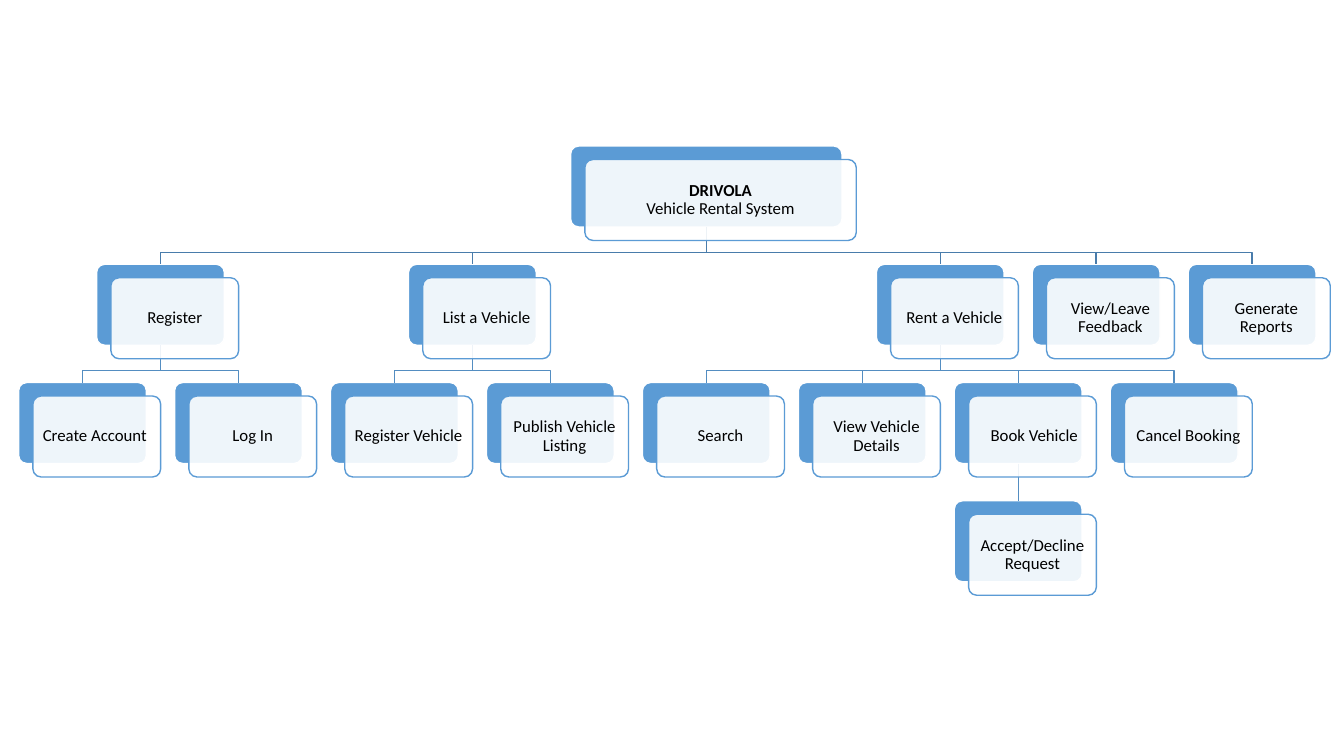
"""Build the function hierarchy slide of a vehicle rental system."""
from dataclasses import dataclass
from typing import Any

from lxml.etree import SubElement
from pptx import Presentation
from pptx.dml.color import RGBColor
from pptx.enum.shapes import MSO_CONNECTOR, MSO_SHAPE
from pptx.enum.text import MSO_ANCHOR, PP_ALIGN
from pptx.oxml.ns import qn
from pptx.util import Cm, Length, Pt

ROUNDED = MSO_SHAPE.ROUNDED_RECTANGLE
STRAIGHT = MSO_CONNECTOR.STRAIGHT
MIDDLE = MSO_ANCHOR.MIDDLE
CENTER = PP_ALIGN.CENTER
TOP_SITE, BOTTOM_SITE = 0, 2


@dataclass(frozen=True)
class Theme:
    """Colours, font and sizes of the chart."""
    accent: RGBColor = RGBColor(0x5B, 0x9B, 0xD5)
    white: RGBColor = RGBColor(0xFF, 0xFF, 0xFF)
    text: RGBColor = RGBColor(0x00, 0x00, 0x00)
    main_link: RGBColor = RGBColor(0x49, 0x7C, 0xAB)
    sub_link: RGBColor = RGBColor(0x53, 0x8D, 0xC1)
    card_alpha: int = 90
    font: str = "Calibri"
    size: Length = Pt(12)
    line: Length = Pt(1)


@dataclass(frozen=True)
class Node:
    """A function with its column, row, parent and label."""
    key: str
    column: float
    row: int
    parent: str
    label: str
    title: str = ""
    width: Length = Cm(3.22)

    @property
    def center(self) -> Length:
        """Return the horizontal centre of the back plate."""
        return Cm(2.08 + 3.93 * self.column)

    @property
    def top(self) -> Length:
        """Return the top of the back plate."""
        return Cm(3.68 + 2.98 * self.row)


THEME = Theme()
HEIGHT = Cm(2.04)
CARD_DX, CARD_DY = Cm(0.36), Cm(0.34)
BEND = Cm(0.64)
INSET = Cm(0.13)
FRAME_FORMAT = {"word_wrap": True, "vertical_anchor": MIDDLE, "margin_left": INSET,
                "margin_right": INSET, "margin_top": INSET, "margin_bottom": INSET}
PARAGRAPH_FORMAT = {"alignment": CENTER, "line_spacing": 0.9}
FONT_FORMAT = {"name": THEME.font, "size": THEME.size}

NODES = [
    Node("system", 4, 0, "", "Vehicle Rental System", "DRIVOLA", Cm(6.84)),
    Node("register", 0.5, 1, "system", "Register"),
    Node("account", 0, 2, "register", "Create Account "),
    Node("login", 1, 2, "register", "Log In"),
    Node("list", 2.5, 1, "system", "List a Vehicle"),
    Node("vehicle", 2, 2, "list", "Register Vehicle"),
    Node("publish", 3, 2, "list", "Publish Vehicle Listing"),
    Node("rent", 5.5, 1, "system", "Rent a Vehicle"),
    Node("search", 4, 2, "rent", "Search"),
    Node("details", 5, 2, "rent", "View Vehicle Details"),
    Node("book", 6, 2, "rent", " Book Vehicle"),
    Node("request", 6, 3, "book", "Accept/Decline Request"),
    Node("cancel", 7, 2, "rent", "Cancel Booking"),
    Node("feedback", 6.5, 1, "system", "View/Leave Feedback"),
    Node("reports", 7.5, 1, "system", "Generate Reports"),
]


def set_format(target: Any, values: dict[str, Any]) -> None:
    """Set each named format value on the target."""
    for name, value in values.items():
        setattr(target, name, value)


def set_line(sp: Any, color: RGBColor) -> None:
    """Give a shape or connector its line."""
    sp.line.color.rgb = color
    sp.line.width = THEME.line


def add_box(s: Any, node: Node, dx: int, dy: int, fill: RGBColor, line: RGBColor) -> Any:
    """Add one rounded box of a node, shifted by dx and dy."""
    left = node.center - node.width // 2 + dx
    sp = s.shapes.add_shape(ROUNDED, left, node.top + dy, node.width, HEIGHT)
    sp.adjustments[0] = 0.1
    sp.shadow.inherit = False
    sp.fill.solid()
    sp.fill.fore_color.rgb = fill
    set_line(sp, line)
    return sp


def add_run(p: Any, text: str, bold: bool) -> None:
    """Add a formatted run to a paragraph."""
    r = p.add_run()
    r.text = text
    set_format(r.font, {**FONT_FORMAT, "bold": bold})
    r.font.color.rgb = THEME.text


def add_card(s: Any, node: Node) -> None:
    """Add the translucent front card with its label."""
    sp = add_box(s, node, CARD_DX, CARD_DY, THEME.white, THEME.accent)
    color = sp._element.spPr.find(qn("a:solidFill"))[0]
    SubElement(color, qn("a:alpha")).set("val", str(THEME.card_alpha * 1000))
    tf = sp.text_frame
    set_format(tf, FRAME_FORMAT)
    p = tf.paragraphs[0]
    set_format(p, PARAGRAPH_FORMAT)
    if node.title:
        add_run(p, node.title, True)
        p.add_line_break()
    add_run(p, node.label, False)


def add_link(s: Any, parent: Node, child: Node, plates: dict[str, Any]) -> None:
    """Join a child to its parent, straight or with a bend."""
    start, end = parent.top + HEIGHT, child.top
    if parent.column == child.column:
        link = s.shapes.add_connector(STRAIGHT, parent.center, start, child.center, end)
        link.begin_connect(plates[parent.key], BOTTOM_SITE)
        link.end_connect(plates[child.key], TOP_SITE)
        SubElement(link._element.spPr, qn("a:effectLst"))
    else:
        bend = start + BEND
        outline = s.shapes.build_freeform(parent.center, start)
        outline.add_line_segments(
            [(parent.center, bend), (child.center, bend), (child.center, end)], close=False)
        link = outline.convert_to_shape()
        link.fill.background()
        link.shadow.inherit = False
    set_line(link, THEME.sub_link if parent.row else THEME.main_link)


def main() -> None:
    """Draw the hierarchy and save the presentation."""
    prs = Presentation()
    prs.slide_width, prs.slide_height = Cm(33.87), Cm(19.05)
    s = prs.slides.add_slide(prs.slide_layouts[6])
    nodes = {node.key: node for node in NODES}
    plates = {node.key: add_box(s, node, 0, 0, THEME.accent, THEME.white) for node in NODES}
    for node in NODES:
        if node.parent:
            add_link(s, nodes[node.parent], node, plates)
    for node in NODES:
        add_card(s, node)
    prs.save("out.pptx")


if __name__ == "__main__":
    main()
